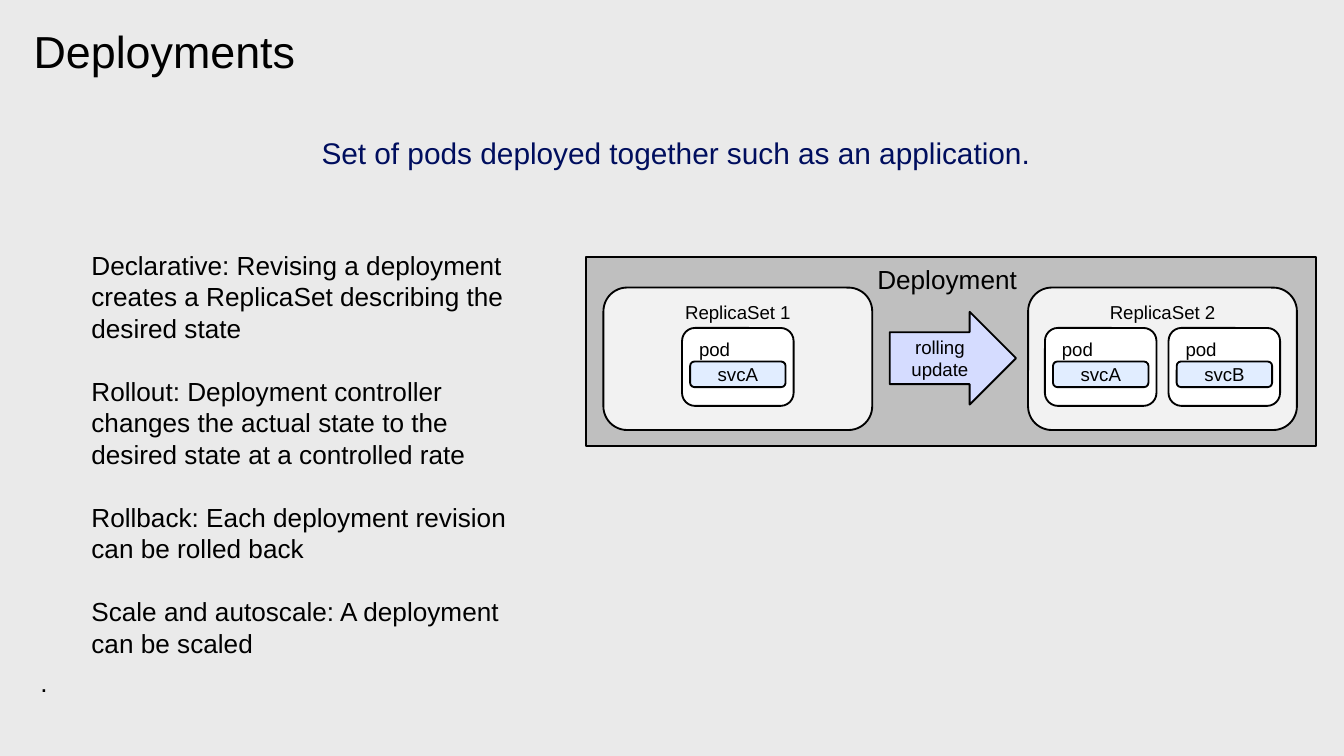
from pptx import Presentation
from pptx.dml.color import RGBColor
from pptx.enum.shapes import MSO_SHAPE
from pptx.enum.text import MSO_ANCHOR, MSO_AUTO_SIZE, PP_ALIGN
from pptx.oxml.ns import qn
from pptx.util import Inches, Pt

RECT, ROUND, ARROW = MSO_SHAPE.RECTANGLE, MSO_SHAPE.ROUNDED_RECTANGLE, MSO_SHAPE.RIGHT_ARROW
TOP, MIDDLE = MSO_ANCHOR.TOP, MSO_ANCHOR.MIDDLE
LEFT, CENTER = PP_ALIGN.LEFT, PP_ALIGN.CENTER
FIXED = MSO_AUTO_SIZE.NONE

WIDE = 10
HIGH = WIDE * 9 / 16
BLACK = "000000"
SET_TOP, SET_W, SET_H = 2.14, 2, 1.06
POD_TOP, POD_W, POD_H = 2.44, 0.83, 0.58
POD_STEP = 0.92
SVC_W, SVC_H = 0.71, 0.19

POINTS = [
    "Declarative: Revising a deployment creates a ReplicaSet describing the desired state",
    "Rollout: Deployment controller changes the actual state to the desired state at a controlled rate",
    "Rollback: Each deployment revision can be rolled back",
    "Scale and autoscale: A deployment can be scaled",
]


def color(code):
    return RGBColor.from_string(code)


def place(shape, x, y, w, h):
    shape.left, shape.top = Inches(x), Inches(y)
    shape.width, shape.height = Inches(w), Inches(h)


def frame(shape, anchor=TOP, inset=None):
    """Set wrapping, anchor and equal insets, and return the text frame."""
    box = shape.text_frame
    box.word_wrap = True
    box.auto_size = FIXED
    box.vertical_anchor = anchor
    if inset is not None:
        box.margin_left = box.margin_right = Inches(inset)
        box.margin_top = box.margin_bottom = Inches(inset)
    return box


def write(para, text, size, align=LEFT, ink=BLACK):
    para.alignment = align
    run = para.add_run()
    run.text = text
    run.font.name = "Arial"
    run.font.size = Pt(size)
    run.font.color.rgb = color(ink)


def plain(para, indent=0):
    """Drop the bullet and set the left indent."""
    props = para._p.get_or_add_pPr()
    props.set("marL", str(Inches(indent)))
    props.set("indent", "0")
    props.append(props.makeelement(qn("a:buNone"), {}))


def block(slide, kind, area, fill, text, size=10, align=CENTER, anchor=TOP, inset=None):
    shape = slide.shapes.add_shape(kind, *map(Inches, area))
    shape.shadow.inherit = False
    shape.fill.solid()
    shape.fill.fore_color.rgb = color(fill)
    shape.line.color.rgb = color(BLACK)
    shape.line.width = Pt(1)
    write(frame(shape, anchor, inset).paragraphs[0], text, size, align)
    return shape


def replica(slide, x, name, services):
    """Draw a replica set with its pods centred as a row."""
    block(slide, ROUND, (x, SET_TOP, SET_W, SET_H), "F2F2F2", name)
    row = POD_STEP * (len(services) - 1) + POD_W
    start = x + (SET_W - row) / 2
    for i, service in enumerate(services):
        left = start + i * POD_STEP
        block(slide, ROUND, (left, POD_TOP, POD_W, POD_H), "FFFFFF", "pod", align=LEFT)
        area = (left + (POD_W - SVC_W) / 2, POD_TOP + 0.25, SVC_W, SVC_H)
        block(slide, ROUND, area, "E1EDFF", service, anchor=MIDDLE, inset=0)


def heading(slide):
    title = slide.shapes.title
    place(title, 0.25, 0.22, 8.2, 0.52)
    para = frame(title, inset=0).paragraphs[0]
    para.line_spacing = 0.9
    write(para, "Deployments", 24)
    lead = slide.shapes.add_textbox(*map(Inches, (0.46, 0.95, 9.14, 0.37)))
    write(frame(lead).paragraphs[0],
          "Set of pods deployed together such as an application.", 16, CENTER, "000E5E")


def body(slide):
    shape = slide.placeholders[1]
    place(shape, 0.28, 1.83, 3.6, 3.39)
    box = frame(shape, MIDDLE, 0.02)
    for i, point in enumerate(POINTS):
        para = box.add_paragraph() if i else box.paragraphs[0]
        plain(para, 0.38)
        para.space_before = Pt(17 if i else 0)
        write(para, point, 14)
    last = box.add_paragraph()
    plain(last)
    last.line_spacing = 1.2
    last.space_before = Pt(1)
    write(last, ".", 14)


def diagram(slide):
    block(slide, RECT, (4.36, 1.91, 5.43, 1.41), "BFBFBF", "Deployment ", 14)
    replica(slide, 4.49, "ReplicaSet 1", ["svcA"])
    replica(slide, 7.65, "ReplicaSet 2", ["svcA", "svcB"])
    arrow = block(slide, ARROW, (6.62, 2.32, 0.94, 0.69), "D5DCFF",
                  "rolling update", anchor=MIDDLE)
    arrow.adjustments[0] = 0.56


def main():
    deck = Presentation()
    deck.slide_width, deck.slide_height = Inches(WIDE), Inches(HIGH)
    slide = deck.slides.add_slide(deck.slide_layouts[1])
    slide.background.fill.solid()
    slide.background.fill.fore_color.rgb = color("EAEAEA")
    heading(slide)
    diagram(slide)
    body(slide)
    deck.save("out.pptx")


if __name__ == "__main__":
    main()
